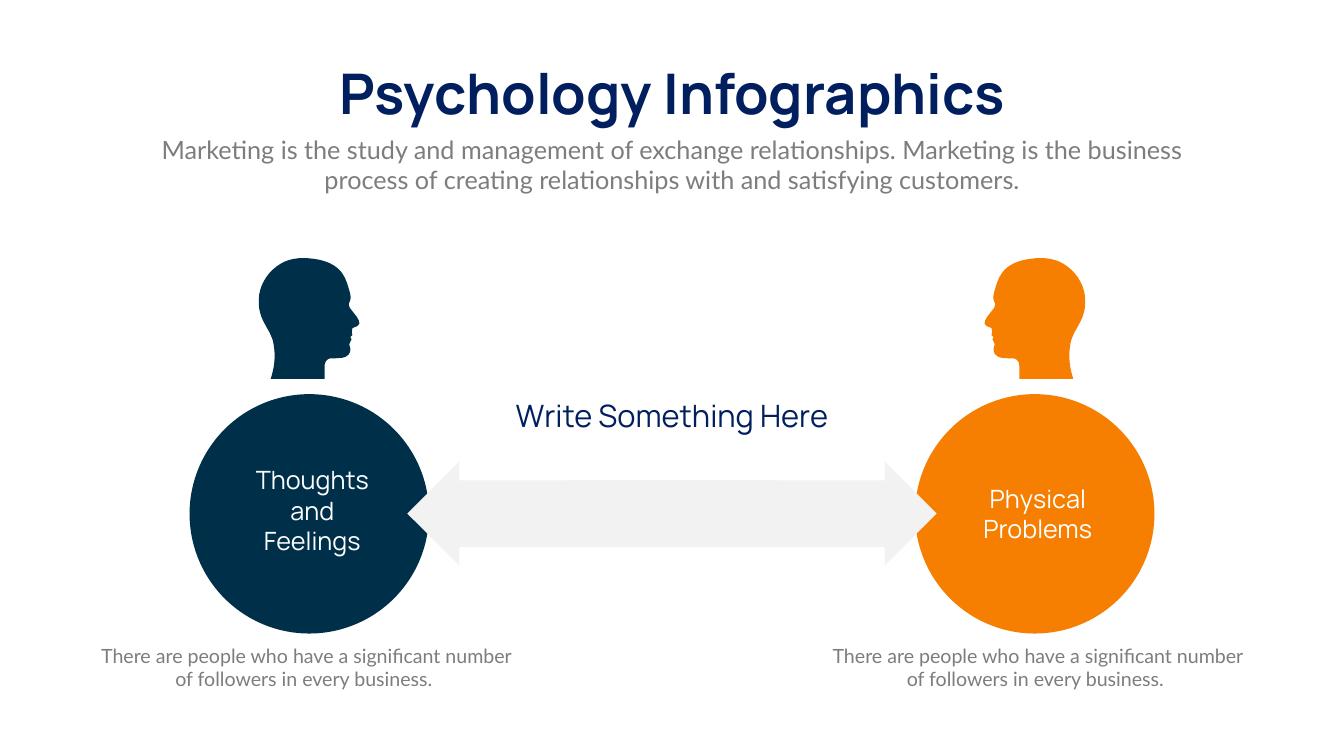
from dataclasses import dataclass

import lxml.etree
import pptx
import pptx.dml.color
import pptx.enum.shapes
import pptx.enum.text
import pptx.oxml.ns
import pptx.util

PX = 9144  # EMU per px, 100 px to the inch
SLIDE_W, SLIDE_H = 2666, 1500
SHAPE = pptx.enum.shapes.MSO_SHAPE


@dataclass(frozen=True)
class Theme:
    background: str = "FEFFFE"
    navy: str = "011F5E"
    gray: str = "7E7C7F"
    white: str = "FFFFFF"
    arrow: str = "F2F2F2"
    teal: str = "003049"
    orange: str = "F67E00"
    heading_font: str = "Manrope"
    body_font: str = "Lato"
    title_size: int = 80
    middle_size: int = 44
    label_size: int = 36
    caption_size: int = 28


@dataclass(frozen=True)
class Box:
    x: int
    y: int
    w: int
    h: int

    def emu(self) -> tuple[int, ...]:
        return tuple(v * PX for v in (self.x, self.y, self.w, self.h))


@dataclass(frozen=True)
class Label:
    text: str
    box: Box
    font: str
    size: int
    color: str
    bold: bool = False
    wrap: bool = True


@dataclass(frozen=True)
class Side:
    color: str
    circle: Box
    head: Box
    faces_right: bool
    label: Label
    caption_box: Box


THEME = Theme()
CAPTION = ("There are people who have a significant number "
           "of followers in every business. ")

TITLE = Label("Psychology Infographics", Box(608, 112, 1451, 145),
              THEME.heading_font, THEME.title_size, THEME.navy, bold=True, wrap=False)
SUBTITLE = Label(
    "Marketing is the study and management of exchange relationships. Marketing is "
    "the business process of creating relationships with and satisfying customers.",
    Box(292, 261, 2082, 131), THEME.body_font, THEME.label_size, THEME.gray)
MIDDLE = Label("Write Something Here", Box(891, 782, 884, 84),
               THEME.heading_font, THEME.middle_size, THEME.navy)

SIDES = [
    Side(THEME.orange, Box(1815, 782, 475, 475), Box(1953, 512, 200, 240), False,
         Label("Physical Problems", Box(1899, 954, 319, 131),
               THEME.heading_font, THEME.label_size, THEME.white),
         Box(1638, 1272, 841, 104)),
    Side(THEME.teal, Box(376, 782, 475, 475), Box(513, 512, 200, 240), True,
         Label("Thoughts and Feelings", Box(472, 917, 295, 192),
               THEME.heading_font, THEME.label_size, THEME.white),
         Box(187, 1272, 841, 104)),
]

ARROW_Y, ARROW_W, ARROW_H = 916, 735, 206
ARROWS = [(1123, 0), (808, 180)]  # left edge, rotation

# Head facing right, in px from its top left corner:
# one point is a straight line, three points are a Bézier curve.
HEAD_START = (89, 0)
HEAD_SEGMENTS = [
    ((76, 0), (64, 2), (52, 7)),
    ((28, 18), (10, 39), (3, 64)),
    ((0, 75), (0, 87), (1, 99)),
    ((3, 111), (7, 122), (13, 132)),
    ((17, 140), (22, 147), (25, 155)),
    ((29, 163), (30, 172), (31, 180)),
    ((33, 198), (31, 216), (26, 233)),
    ((24, 240),),
    ((131, 240),),
    ((131, 233),),
    ((131, 227), (131, 221), (131, 215)),
    ((131, 211), (131, 207), (134, 204)),
    ((136, 201), (139, 200), (142, 199)),
    ((145, 199), (148, 199), (152, 199)),
    ((157, 199), (161, 198), (166, 198)),
    ((171, 197), (176, 195), (179, 191)),
    ((182, 188), (182, 184), (182, 180)),
    ((181, 177), (180, 175), (180, 172)),
    ((180, 170), (181, 167), (182, 166)),
    ((183, 164), (185, 162), (184, 160)),
    ((184, 158), (184, 157), (182, 157)),
    ((184, 156), (185, 155), (186, 153)),
    ((186, 151), (186, 149), (185, 147)),
    ((185, 144), (185, 142), (186, 139)),
    ((196, 135),),
    ((198, 134), (199, 133), (200, 130)),
    ((200, 126), (198, 121), (195, 117)),
    ((190, 111), (186, 105), (181, 99)),
    ((180, 97), (179, 94), (179, 91)),
    ((180, 88), (181, 86), (182, 83)),
    ((183, 79), (183, 76), (182, 73)),
    ((181, 71), (181, 69), (181, 68)),
    ((177, 55), (174, 41), (165, 29)),
    ((153, 13), (133, 5), (112, 2)),
    ((105, 1), (97, 0), (89, 0)),
]


def rgb(color: str) -> pptx.dml.color.RGBColor:
    return pptx.dml.color.RGBColor.from_string(color)


def paint(sp, color: str) -> None:
    sp.shadow.inherit = False
    sp.fill.solid()
    sp.fill.fore_color.rgb = rgb(color)
    sp.line.fill.background()


def add_label(shapes, label: Label) -> None:
    tf = shapes.add_textbox(*label.box.emu()).text_frame
    tf.word_wrap = label.wrap
    tf.auto_size = pptx.enum.text.MSO_AUTO_SIZE.SHAPE_TO_FIT_TEXT
    p = tf.paragraphs[0]
    p.text = label.text
    p.alignment = pptx.enum.text.PP_ALIGN.CENTER
    font = p.runs[0].font
    font.name = label.font
    font.size = pptx.util.Pt(label.size)
    font.bold = label.bold
    font.color.rgb = rgb(label.color)


def add_head(shapes, side: Side) -> None:
    """Frame the head with a freeform, then give its path true curves."""
    box = side.head
    right, bottom = box.x + box.w, box.y + box.h
    builder = shapes.build_freeform(box.x, box.y, scale=PX)
    builder.add_line_segments([(right, box.y), (right, bottom), (box.x, bottom)])
    sp = builder.convert_to_shape()
    paint(sp, side.color)

    qn = pptx.oxml.ns.qn
    path = next(sp.element.iter(qn("a:path")))
    for child in list(path):
        path.remove(child)

    def add_step(tag: str, points: tuple[tuple[int, int], ...] = ()) -> None:
        step = lxml.etree.SubElement(path, qn(tag))
        for x, y in points:
            local_x = x if side.faces_right else box.w - x
            lxml.etree.SubElement(step, qn("a:pt"), x=str(local_x), y=str(y))

    add_step("a:moveTo", (HEAD_START,))
    for segment in HEAD_SEGMENTS:
        add_step("a:lnTo" if len(segment) == 1 else "a:cubicBezTo", segment)
    add_step("a:close")


def add_double_arrow(shapes) -> None:
    group = shapes.add_group_shape()
    for x, rotation in ARROWS:
        box = Box(x, ARROW_Y, ARROW_W, ARROW_H)
        sp = group.shapes.add_shape(SHAPE.RIGHT_ARROW, *box.emu())
        sp.adjustments[0] = 0.64
        sp.adjustments[1] = 0.5
        sp.rotation = rotation
        paint(sp, THEME.arrow)


def main() -> None:
    prs = pptx.Presentation()
    prs.slide_width, prs.slide_height = SLIDE_W * PX, SLIDE_H * PX
    s = prs.slides.add_slide(prs.slide_layouts[6])
    s.background.fill.solid()
    s.background.fill.fore_color.rgb = rgb(THEME.background)

    add_label(s.shapes, TITLE)
    add_label(s.shapes, SUBTITLE)
    for side in SIDES:
        paint(s.shapes.add_shape(SHAPE.OVAL, *side.circle.emu()), side.color)
    add_double_arrow(s.shapes)
    for side in SIDES:
        add_head(s.shapes, side)
        add_label(s.shapes, side.label)
        add_label(s.shapes, Label(CAPTION, side.caption_box, THEME.body_font,
                                  THEME.caption_size, THEME.gray))
    add_label(s.shapes, MIDDLE)
    prs.save("out.pptx")


if __name__ == "__main__":
    main()
